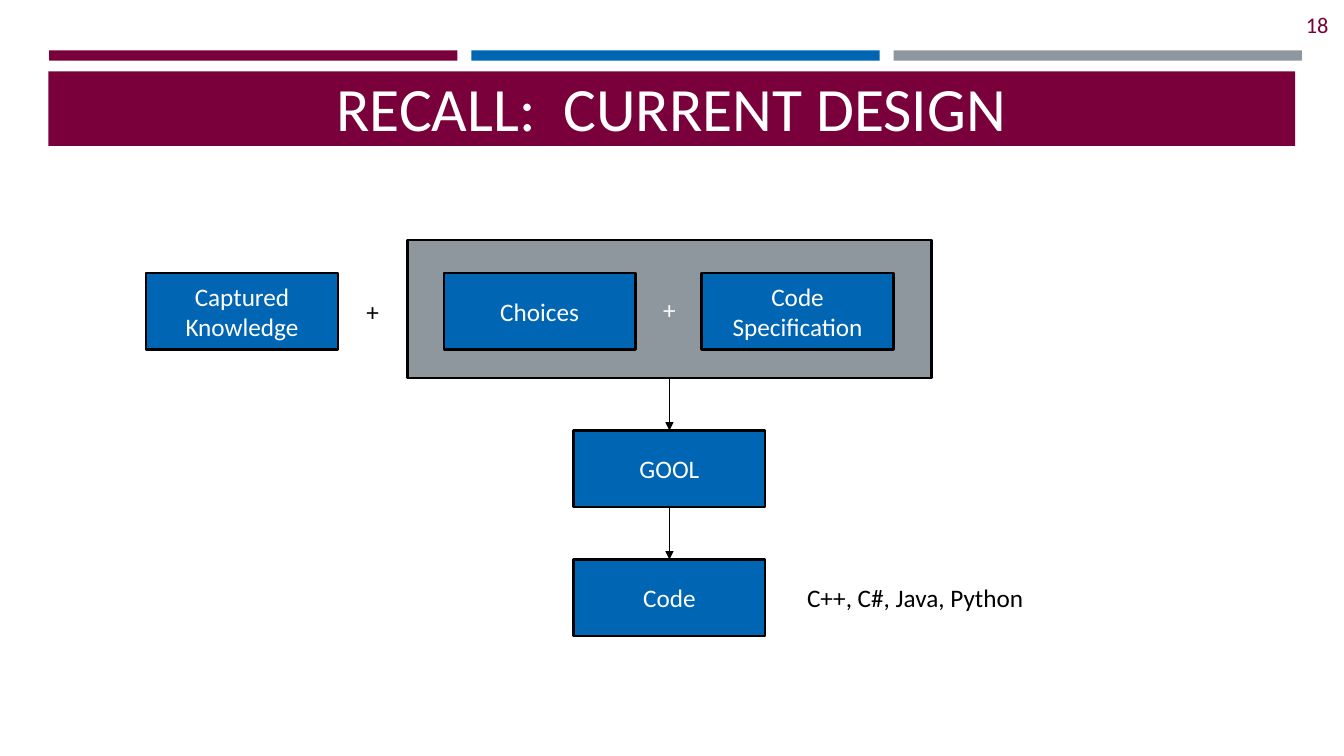
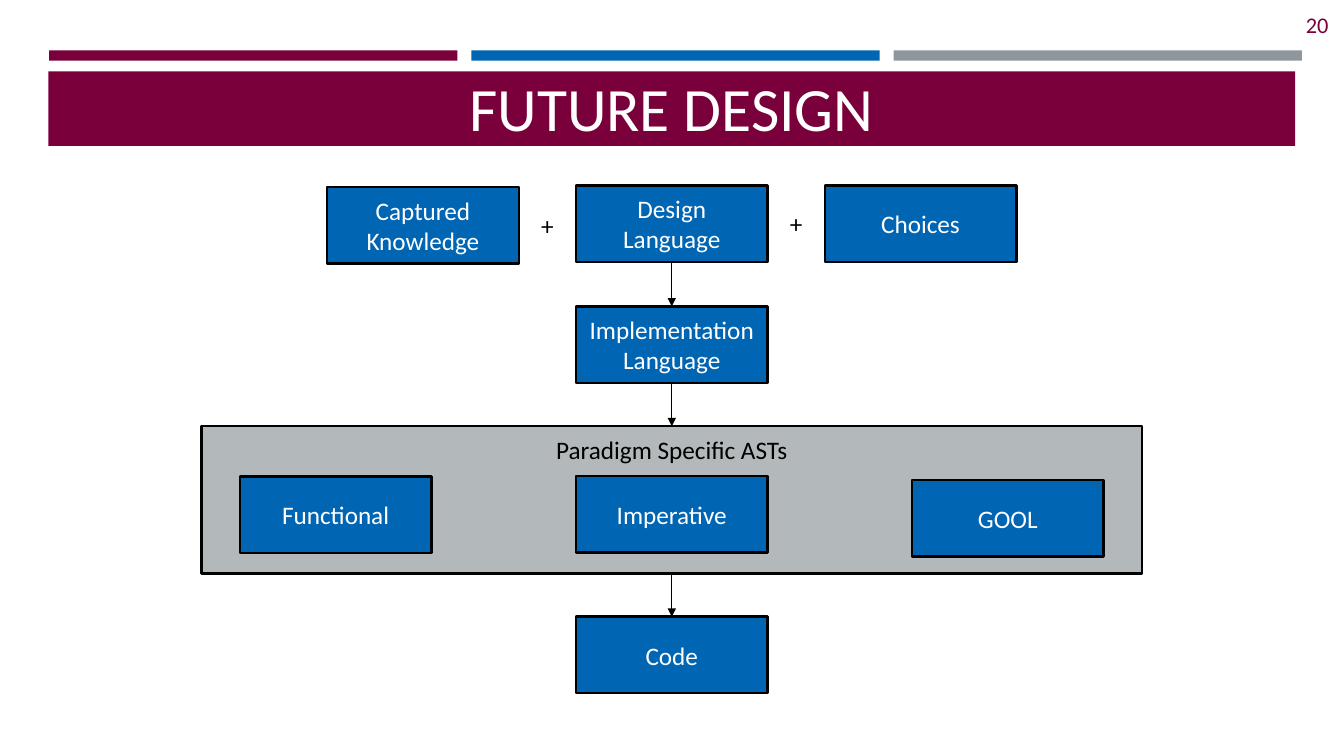
from lxml import etree
from pptx import Presentation
from pptx.dml.color import RGBColor
from pptx.enum.shapes import MSO_CONNECTOR, MSO_SHAPE
from pptx.enum.text import MSO_ANCHOR, MSO_AUTO_SIZE, PP_ALIGN
from pptx.oxml.ns import qn
from pptx.util import Cm, Pt

RECT = MSO_SHAPE.RECTANGLE
STRAIGHT = MSO_CONNECTOR.STRAIGHT
TOP, MIDDLE, BOTTOM = MSO_ANCHOR.TOP, MSO_ANCHOR.MIDDLE, MSO_ANCHOR.BOTTOM
LEFT, CENTER, RIGHT = PP_ALIGN.LEFT, PP_ALIGN.CENTER, PP_ALIGN.RIGHT
FIT_SHAPE = MSO_AUTO_SIZE.SHAPE_TO_FIT_TEXT
SIDE_TOP, SIDE_BOTTOM = 0, 2

FONT = "Calibri"
COLORS = {
    "maroon": "7A003B",
    "blue": "0065B3",
    "gray": "8E979E",
    "slate": "687279",
    "black": "000000",
    "white": "FFFFFF",
}

# Lengths in centimetres
BOX_W, BOX_H = 4.83, 1.93
LABEL_H = 1.02
LABEL_DROP = (BOX_H - LABEL_H) / 2
BAR_W, BAR_STEP = 10.29, 10.64


def rgb(name):
    return RGBColor.from_string(COLORS[name])


def write(sp, text, size, color, align=CENTER, anchor=MIDDLE, wrap=True):
    tf = sp.text_frame
    tf.word_wrap = wrap
    tf.vertical_anchor = anchor
    tf.text = text
    for p in tf.paragraphs:
        p.alignment = align
        p.font.name = FONT
        p.font.size = Pt(size)
        p.font.color.rgb = rgb(color)


def add_rect(s, x, y, w, h, fill, outlined=False):
    sp = s.shapes.add_shape(RECT, Cm(x), Cm(y), Cm(w), Cm(h))
    sp.shadow.inherit = False
    sp.fill.solid()
    sp.fill.fore_color.rgb = rgb(fill)
    if outlined:
        sp.line.color.rgb = rgb("black")
        sp.line.width = Pt(1.75)
    else:
        sp.line.fill.background()
    return sp


def add_text(s, text, x, y, w, h, size, color, **layout):
    sp = s.shapes.add_textbox(Cm(x), Cm(y), Cm(w), Cm(h))
    write(sp, text, size, color, **layout)
    return sp


def add_box(s, text, cx, y):
    """Blue box centred on cx."""
    sp = add_rect(s, cx - BOX_W / 2, y, BOX_W, BOX_H, "blue", outlined=True)
    write(sp, text, 18, "white")
    return sp


def add_group_box(s, cx, y, w, h, fill):
    """Gray frame centred on cx."""
    return add_rect(s, cx - w / 2, y, w, h, fill, outlined=True)


def add_label(s, text, cx, y, w=0.84, align=CENTER):
    sp = add_text(s, text, cx - w / 2, y, w, LABEL_H, 18, "black",
                  align=align, anchor=TOP, wrap=False)
    sp.text_frame.auto_size = FIT_SHAPE


def add_arrow(s, upper, lower):
    cn = s.shapes.add_connector(STRAIGHT, 0, 0, 0, 0)
    cn.begin_connect(upper, SIDE_BOTTOM)
    cn.end_connect(lower, SIDE_TOP)
    cn.line.color.rgb = rgb("black")
    cn.line.width = Pt(1)
    etree.SubElement(cn.line._get_or_add_ln(), qn("a:tailEnd"), type="triangle")
    etree.SubElement(cn._element.spPr, qn("a:effectLst"))


def set_opacity(sp, percent):
    color = sp._element.spPr.find(qn("a:solidFill"))[0]
    etree.SubElement(color, qn("a:alpha"), val=str(percent * 1000))


def add_base_slide(prs, title, number):
    """Slide with the shared bars, title band and page number."""
    s = prs.slides.add_slide(prs.slide_layouts[6])
    for i, color in enumerate(("maroon", "blue", "gray")):
        add_rect(s, 1.24 + i * BAR_STEP, 1.27, BAR_W, 0.26, color)
    add_rect(s, 1.22, 1.8, 31.42, 1.88, "maroon")
    add_text(s, title, 1.22, 1.83, 31.42, 1.93, 44, "white", anchor=BOTTOM)
    add_text(s, number, 32.26, 0.15, 1.47, LABEL_H, 16, "maroon",
             align=RIGHT, anchor=TOP)
    return s


def current_design(prs):
    s = add_base_slide(prs, "RECALL:  CURRENT DESIGN", "18")
    cx, row_y = 16.87, 6.88

    # Inputs
    inputs = add_group_box(s, cx, 6.05, 13.21, 3.48, "gray")
    write(inputs, "+", 18, "white")
    add_box(s, "Captured\nKnowledge", 6.1, row_y)
    add_label(s, "+", 9.39, row_y + LABEL_DROP)
    add_box(s, "Choices", cx - 3.27, row_y)
    add_box(s, "Code\nSpecification", cx + 3.23, row_y)

    # Generation steps
    code_y = 14.1
    gool = add_box(s, "GOOL", cx, 10.85)
    code = add_box(s, "Code", cx, code_y)
    add_label(s, "C++, C#, Java, Python", 23.1, code_y + LABEL_DROP, 6.02, LEFT)
    add_arrow(s, inputs, gool)
    add_arrow(s, gool, code)


def future_design(prs):
    s = add_base_slide(prs, "FUTURE DESIGN", "20")
    cx, input_step, paradigm_step = 16.93, 6.27, 8.47

    # Inputs
    captured_y, design_y = 4.71, 4.67
    add_box(s, "Captured\nKnowledge", cx - input_step, captured_y)
    design = add_box(s, "Design\nLanguage", cx, design_y)
    add_box(s, "Choices", cx + input_step, design_y)
    add_label(s, "+", cx - input_step / 2, captured_y + LABEL_DROP)
    add_label(s, "+", cx + input_step / 2, design_y + LABEL_DROP)

    # Paradigms
    paradigms = add_group_box(s, cx, 10.74, 23.7, 3.71, "slate")
    set_opacity(paradigms, 50)
    add_label(s, "Paradigm Specific ASTs", cx, 10.82, 6.4)
    for col, (text, y) in enumerate((("Functional", 12.01),
                                     ("Imperative", 11.99),
                                     ("GOOL", 12.09))):
        add_box(s, text, cx + (col - 1) * paradigm_step, y)

    # Flow from top to bottom
    implementation = add_box(s, "Implementation Language", cx, 7.72)
    code = add_box(s, "Code", cx, 15.54)
    steps = [design, implementation, paradigms, code]
    for upper, lower in zip(steps, steps[1:]):
        add_arrow(s, upper, lower)


def main():
    prs = Presentation()
    prs.slide_width, prs.slide_height = Cm(33.87), Cm(19.05)
    current_design(prs)
    future_design(prs)
    prs.save("out.pptx")


if __name__ == "__main__":
    main()
